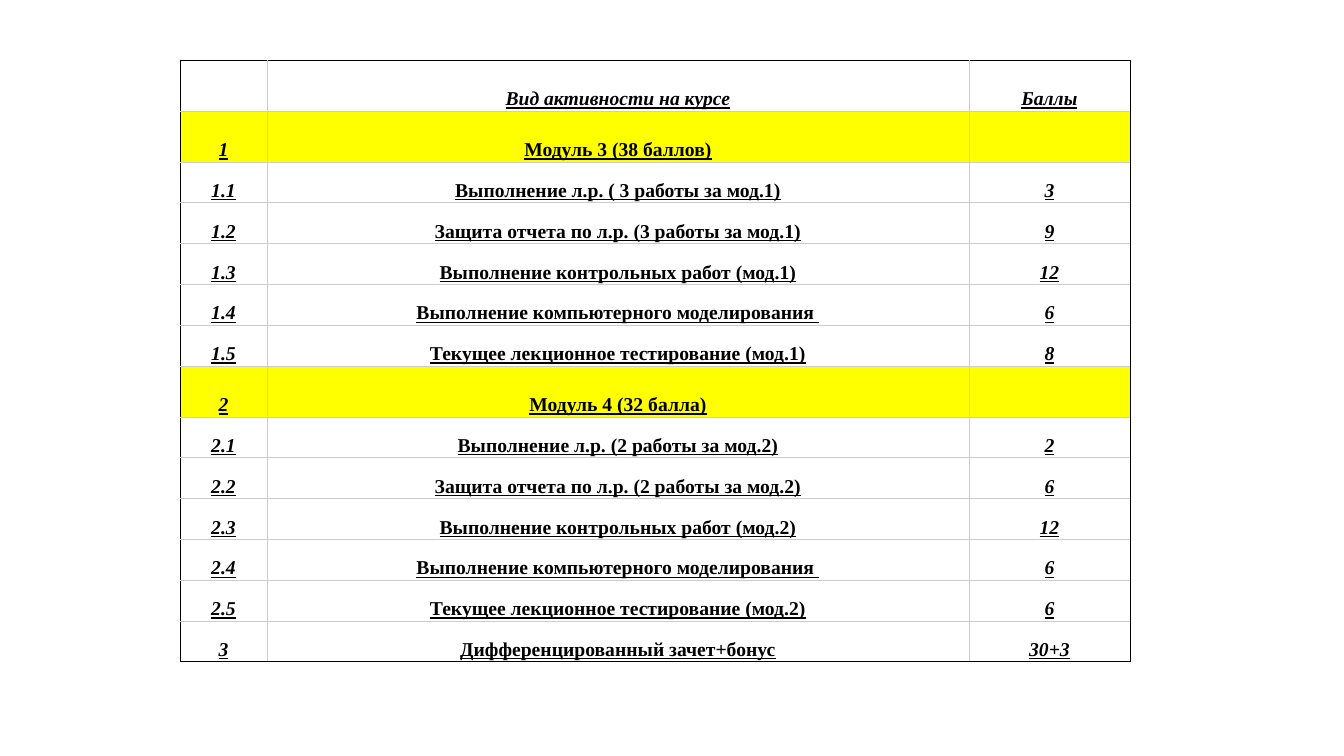
from lxml.etree import SubElement
from pptx import Presentation
from pptx.dml.color import RGBColor
from pptx.enum.text import MSO_ANCHOR, PP_ALIGN
from pptx.oxml.ns import qn
from pptx.util import Pt

BLACK = RGBColor(0x00, 0x00, 0x00)
GRAY = RGBColor(0xCC, 0xCC, 0xCC)
WHITE = RGBColor(0xFF, 0xFF, 0xFF)
YELLOW = RGBColor(0xFF, 0xFF, 0x00)

HEADER = ("", "Вид активности на курсе", "Баллы")
MODULES = ("1", "2")
ACTIVITIES = [
    HEADER,
    ("1", "Модуль 3 (38 баллов)", ""),
    ("1.1", "Выполнение л.р. ( 3 работы за мод.1)", "3"),
    ("1.2", "Защита отчета по л.р. (3 работы за мод.1)", "9"),
    ("1.3", "Выполнение контрольных работ (мод.1)", "12"),
    ("1.4", "Выполнение компьютерного моделирования ", "6"),
    ("1.5", "Текущее лекционное тестирование (мод.1)", "8"),
    ("2", "Модуль 4 (32 балла)", ""),
    ("2.1", "Выполнение л.р. (2 работы за мод.2)", "2"),
    ("2.2", "Защита отчета по л.р. (2 работы за мод.2)", "6"),
    ("2.3", "Выполнение контрольных работ (мод.2)", "12"),
    ("2.4", "Выполнение компьютерного моделирования ", "6"),
    ("2.5", "Текущее лекционное тестирование (мод.2)", "6"),
    ("3", "Дифференцированный зачет+бонус", "30+3"),
]
NUMBER_WIDTH, POINTS_WIDTH = 87, 161
TALL_ROW = 51


def px(length):
    return round(length * 914400 / 100.8)


def set_borders(cell, colors):
    """Draw thin cell borders; colors maps each side (L, R, T, B) to a colour."""
    properties = cell._tc.get_or_add_tcPr()
    for side, color in colors.items():
        line = SubElement(properties, qn(f"a:ln{side}"), w=str(Pt(0.5)))
        fill = SubElement(line, qn("a:solidFill"))
        SubElement(fill, qn("a:srgbClr"), val=str(color))


def fill_cell(cell, text, italic, background):
    cell.fill.solid()
    cell.fill.fore_color.rgb = background
    cell.vertical_anchor = MSO_ANCHOR.BOTTOM
    cell.margin_left = cell.margin_right = px(2)
    cell.margin_top = cell.margin_bottom = px(1)
    cell.text = text
    paragraph = cell.text_frame.paragraphs[0]
    paragraph.alignment = PP_ALIGN.CENTER
    font = paragraph.font
    font.name, font.size = "Times New Roman", Pt(14)
    font.bold = font.underline = True
    font.italic = italic
    font.color.rgb = BLACK


def add_points_table(slide, left, top, width, height):
    last_row, last_column = len(ACTIVITIES) - 1, len(HEADER) - 1
    table = slide.shapes.add_table(
        len(ACTIVITIES), len(HEADER), px(left), px(top), px(width), px(height)
    ).table
    table.first_row = table.horz_banding = False

    # The activity column takes the width left by the outer two
    widths = (NUMBER_WIDTH, width - NUMBER_WIDTH - POINTS_WIDTH, POINTS_WIDTH)
    for column, column_width in zip(table.columns, widths):
        column.width = px(column_width)

    # Header and module rows are tall, the others share the rest equally
    tall_count = 1 + len(MODULES)
    short_row = (height - tall_count * TALL_ROW) / (len(ACTIVITIES) - tall_count)

    for r, activity in enumerate(ACTIVITIES):
        is_header, is_module = r == 0, activity[0] in MODULES
        table.rows[r].height = px(TALL_ROW if is_header or is_module else short_row)
        for c, text in enumerate(activity):
            cell = table.cell(r, c)
            # Black outer frame, gray inner grid
            set_borders(cell, {
                "L": BLACK if c == 0 else GRAY,
                "R": BLACK if c == last_column else GRAY,
                "T": BLACK if is_header else GRAY,
                "B": BLACK if r == last_row else GRAY,
            })
            fill_cell(cell, text, italic=is_header or c != 1,
                      background=YELLOW if is_module else WHITE)


def main():
    presentation = Presentation()
    presentation.slide_width, presentation.slide_height = px(1344), px(756)
    slide = presentation.slides.add_slide(presentation.slide_layouts[6])
    add_points_table(slide, left=180, top=60, width=950, height=602)
    presentation.save("out.pptx")


if __name__ == "__main__":
    main()
